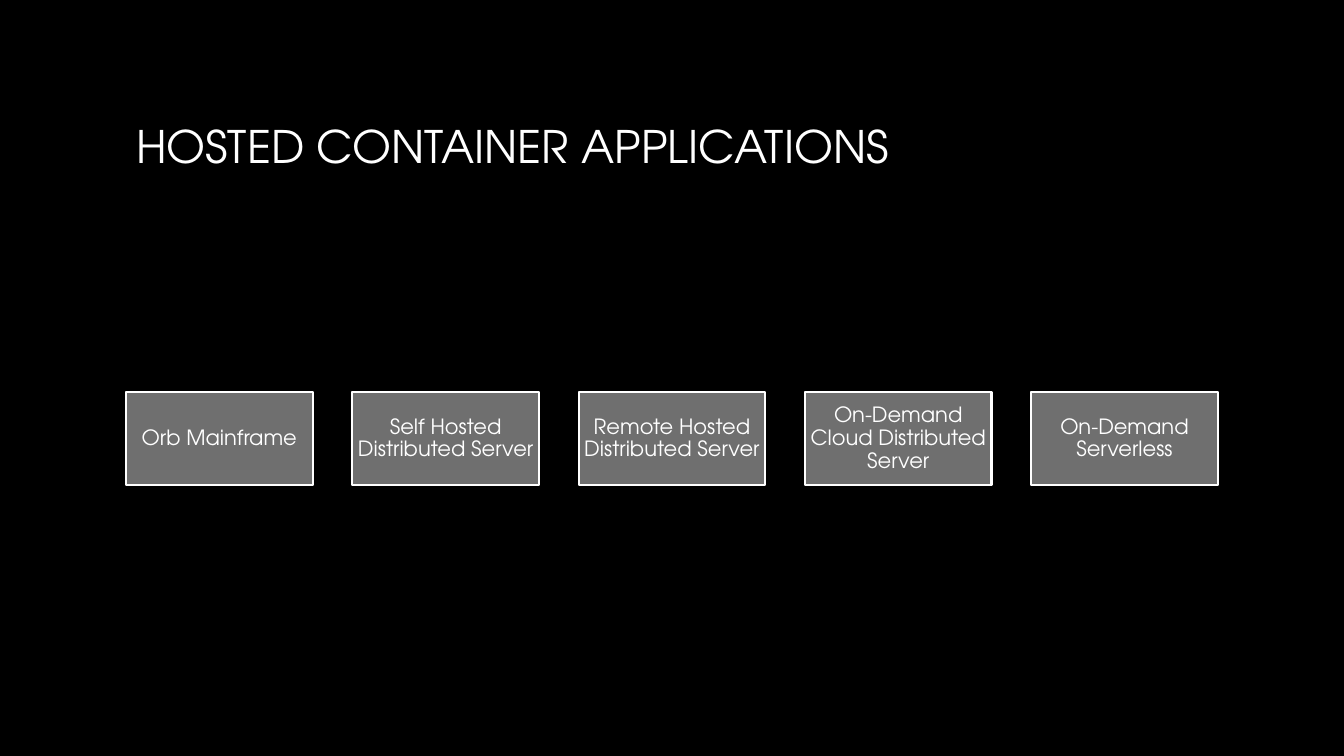
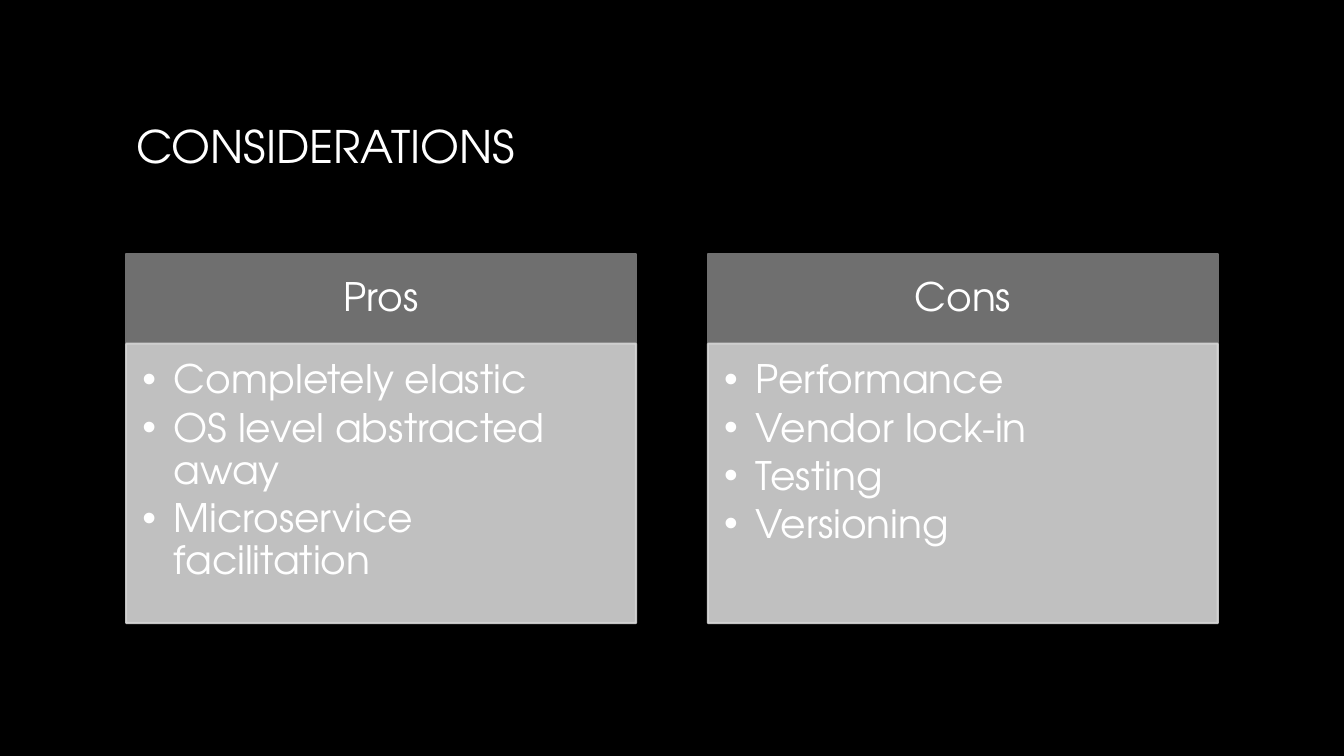
from pptx import Presentation
from pptx.dml.color import RGBColor
from pptx.enum import shapes, text
from pptx.oxml.ns import qn
from pptx.util import Cm, Pt
from lxml import etree

HOSTING = [
    "Orb Mainframe",
    "Self Hosted Distributed Server",
    "Remote Hosted Distributed Server",
    "On-Demand Cloud Distributed Server",
    "On-Demand Serverless",
]
CONSIDERATIONS = [
    ("Pros", ["Completely elastic", "OS level abstracted away", "Microservice facilitation"]),
    ("Cons", ["Performance", "Vendor lock-in", "Testing", "Versioning"]),
]

COLORS = {"back": "000000", "text": "FFFFFF", "box": "6F6F6F", "panel": "D5D5D5"}
FONT = "TeX Gyre Adventor"
LEFT, WIDTH = 3.18, 27.51


def rgb(name):
    return RGBColor.from_string(COLORS[name])


def place(sp, *box):
    sp.left, sp.top, sp.width, sp.height = map(Cm, box)


def spread(count, width):
    step = (WIDTH - width) / (count - 1)
    return [LEFT + i * step for i in range(count)]


def paint(sp, fill, line, opacity=None):
    sp.fill.solid()
    sp.fill.fore_color.rgb = rgb(fill)
    sp.line.color.rgb = rgb(line)
    sp.line.width = Pt(1.5)
    if opacity:
        for color in sp._element.spPr.iter(qn("a:srgbClr")):
            etree.SubElement(color, qn("a:alpha"), val=str(opacity * 1000))


def write(sp, lines, size, insets, align=text.PP_ALIGN.LEFT,
          anchor=text.MSO_ANCHOR.MIDDLE, spacing=0.9, after=0, hang=0):
    tf = sp.text_frame
    tf.text = "\n".join(lines)
    tf.word_wrap = True
    tf.auto_size = text.MSO_AUTO_SIZE.NONE
    tf.vertical_anchor = anchor
    tf.margin_left, tf.margin_top, tf.margin_right, tf.margin_bottom = map(Cm, insets)
    for p in tf.paragraphs:
        p.alignment = align
        p.line_spacing = spacing
        p.space_before, p.space_after = Pt(0), Pt(after)
        p.font.name, p.font.size, p.font.bold = FONT, Pt(size), False
        p.font.color.rgb = rgb("text")
        if hang:
            pPr = p._p.get_or_add_pPr()
            pPr.set("marL", str(Cm(hang)))
            pPr.set("indent", str(-Cm(hang)))


def add_slide(prs, layout, title):
    s = prs.slides.add_slide(prs.slide_layouts.get_by_name(layout))
    place(s.shapes.title, LEFT, 1.7, WIDTH, 4.09)
    write(s.shapes.title, [title], 32, (0.25, 0.13, 0.25, 0.13))
    return s


def hosting_slide(prs):
    s = add_slide(prs, "Title Only", "HOSTED CONTAINER APPLICATIONS")
    width = 4.7
    for left, label in zip(spread(len(HOSTING), width), HOSTING):
        sp = s.shapes.add_shape(shapes.MSO_SHAPE.RECTANGLE,
                                *map(Cm, (left, 9.88, width, 2.35)))
        sp.shadow.inherit = False
        paint(sp, "box", "text")
        write(sp, [label], 15, (0.03,) * 4, text.PP_ALIGN.CENTER)


def considerations_slide(prs):
    s = add_slide(prs, "Comparison", "CONSIDERATIONS")
    width = 12.85
    heads, bodies = list(s.placeholders)[1::2], list(s.placeholders)[2::2]
    columns = zip(spread(len(CONSIDERATIONS), width), heads, bodies, CONSIDERATIONS)
    for left, head, body, (heading, points) in columns:
        place(head, left, 6.4, width, 2.25)
        paint(head, "box", "box")
        write(head, [heading], 28, (0.55, 0.32, 0.55, 0.32), text.PP_ALIGN.CENTER)
        place(body, left, 8.66, width, 7.04)
        paint(body, "panel", "panel", opacity=90)
        write(body, points, 28, (0.41, 0.41, 0.55, 0.61),
              anchor=text.MSO_ANCHOR.TOP, after=4.2, hang=0.79)


def main():
    prs = Presentation()
    prs.slide_width, prs.slide_height = Cm(33.87), Cm(19.05)
    fill = prs.slide_master.background.fill
    fill.solid()
    fill.fore_color.rgb = rgb("back")
    hosting_slide(prs)
    considerations_slide(prs)
    prs.save("out.pptx")


if __name__ == "__main__":
    main()
